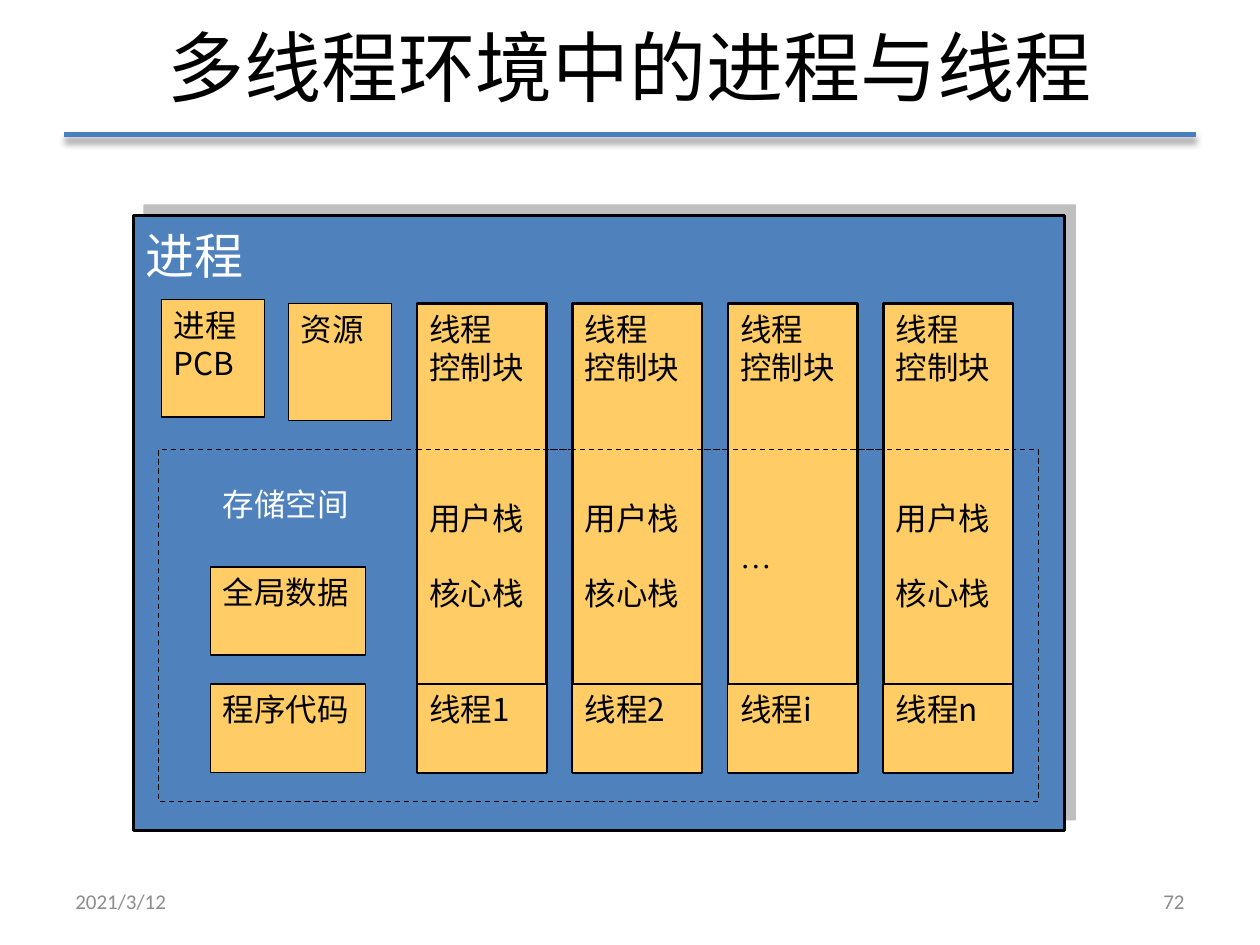
"""Build a slide on processes and threads in a multithreaded system."""
from lxml.etree import SubElement
from pptx import Presentation
from pptx.dml.color import RGBColor
from pptx.enum.dml import MSO_LINE
from pptx.enum.shapes import MSO_CONNECTOR, MSO_SHAPE
from pptx.enum.text import MSO_ANCHOR, PP_ALIGN
from pptx.oxml.ns import qn
from pptx.util import Inches, Pt

SANS = "Noto Sans CJK JP"
BLUE, GOLD, GREY = "4F81BD", "FFCC66", "8C8C8C"


def draw(shape, color="000000", width=0.75, dash=False, shade=None):
    """Style an outline; shade is (color, alpha, blur, distance, angle)."""
    line = shape.line
    line.color.rgb = RGBColor.from_string(color)
    line.width = Pt(width)
    if dash:
        line.dash_style = MSO_LINE.DASH
    props = shape._element.spPr
    for old in props.findall(qn("a:effectLst")):
        props.remove(old)
    list_ = SubElement(props, qn("a:effectLst"))
    if shade:
        tint, alpha, blur, dist, angle = shade
        outer = SubElement(list_, qn("a:outerShdw"), blurRad=str(Pt(blur)), dist=str(Pt(dist)),
                           dir=str(angle * 60000), algn="ctr", rotWithShape="0")
        node = SubElement(outer, qn("a:srgbClr"), val=tint)
        SubElement(node, qn("a:alpha"), val=str(alpha * 1000))


def put(text, box, fill=None, edge=0.75, dash=False, shade=None, size=18, color="000000",
        font=SANS, align=PP_ALIGN.LEFT, anchor=MSO_ANCHOR.TOP, lead=21.6):
    """Place text, a string or a list of (line, blank rows above, font), in a box."""
    place = [Inches(n) for n in box]
    if fill:
        shape = slide.shapes.add_shape(MSO_SHAPE.RECTANGLE, *place)
        shape.fill.solid()
        shape.fill.fore_color.rgb = RGBColor.from_string(fill)
        draw(shape, width=edge, dash=dash, shade=shade)
        if not edge:
            shape.line.fill.background()
    else:
        shape = slide.shapes.add_textbox(*place)
    frame = shape.text_frame
    frame.word_wrap = True
    frame.vertical_anchor = anchor
    rows = [(text, 0, font)] if isinstance(text, str) else text
    for i, (words, gap, face) in enumerate(rows):
        para = frame.add_paragraph() if i else frame.paragraphs[0]
        para.alignment = align
        if lead:
            para.line_spacing = Pt(lead)
        if gap:
            para.space_before = Pt(gap * lead)
        if not words:
            continue
        run = para.add_run()
        run.text = words
        run.font.size = Pt(size)
        run.font.name = face
        run.font.color.rgb = RGBColor.from_string(color)
        SubElement(run._r.get_or_add_rPr(), qn("a:ea"), typeface=face)


deck = Presentation()
deck.slide_width, deck.slide_height = Inches(10), Inches(7.5)
slide = deck.slides.add_slide(deck.slide_layouts[6])
link = slide.shapes.add_connector

rule = link(MSO_CONNECTOR.STRAIGHT, Inches(0.51), Inches(1.07), Inches(9.49), Inches(1.07))
draw(rule, "4B7EBC", 3, shade=("000000", 40, 4, 3, 90))
put("多线程环境中的进程与线程", (0.5, -0.03, 9, 1.1), size=44, align=PP_ALIGN.CENTER,
    anchor=MSO_ANCHOR.MIDDLE, lead=None)
for text, left, align in (("2021/3/12", 0.5, PP_ALIGN.LEFT), ("72", 7.17, PP_ALIGN.RIGHT)):
    put(text, (left, 6.95, 2.33, 0.4), size=12, color=GREY, font="Calibri", align=align,
        anchor=MSO_ANCHOR.MIDDLE, lead=None)

frame = (1.06, 1.71, 7.39, 4.88)
put("", frame, fill=BLUE, shade=("808080", 50, 0, 8.5, 315))
put("进程", frame, fill=BLUE, edge=1.5, size=28, color="FFFFFF", lead=36)
put("进程PCB", (1.28, 2.38, 0.82, 0.93), fill=GOLD)
put("资源", (2.29, 2.41, 0.82, 0.93), fill=GOLD)
top = link(MSO_CONNECTOR.STRAIGHT, Inches(3.31), Inches(1.71), Inches(7.83), Inches(1.71))
draw(top, width=1.5)
put("", (1.26, 3.57, 6.98, 2.79), fill=BLUE, dash=True)

put("存储空间", (1.67, 3.8, 1.23, 0.7), fill=BLUE, edge=0, color="FFFFFF")
for text, y in (("全局数据", 4.5), ("程序代码", 5.43)):
    put(text, (1.67, y, 1.23, 0.7), fill=GOLD)

head = [("线程", 0, SANS), ("控制块", 0, SANS)]
stacks = [("用户栈", 3, SANS), ("核心栈", 1, SANS)]
dots = [("…", 4, "Times New Roman")]
for i, name in enumerate("12in"):
    left = 3.31 + i * 3.7 / 3
    put(head + (dots if name == "i" else stacks), (left, 2.41, 1.03, 3.72), fill=GOLD, edge=1.5)
    put("线程" + name, (left, 5.43, 1.03, 0.7), fill=GOLD)

split = link(MSO_CONNECTOR.STRAIGHT, Inches(3.31), Inches(3.57), Inches(8.04), Inches(3.57))
draw(split, dash=True)

deck.save("out.pptx")
